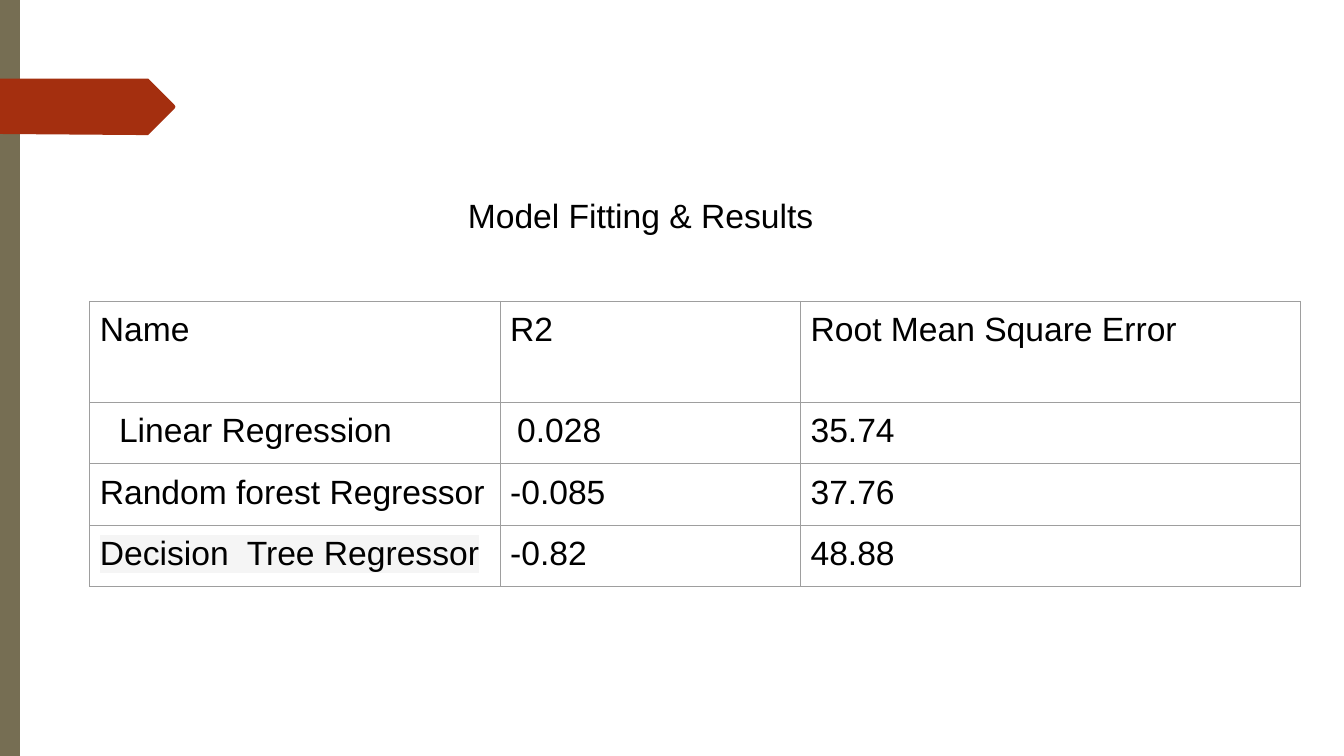
from lxml import etree
from pptx import Presentation
from pptx import util as u
from pptx.dml.color import RGBColor
from pptx.enum import text
from pptx.oxml import ns

OLIVE = RGBColor(0x76, 0x6E, 0x53)
RUST = RGBColor(0xA4, 0x2F, 0x0F)
BLACK = RGBColor(0, 0, 0)
GREY = RGBColor(0x9E, 0x9E, 0x9E)
PALE = RGBColor(0xF5, 0xF5, 0xF5)

BAR = [(0, 0), (0.2, 0), (0.2, 7.5), (0, 7.5)]
ARROW = [(0, 0.78), (1.47, 0.78), (1.48, 0.79), (1.73, 1.04), (1.74, 1.06),
         (1.73, 1.08), (1.48, 1.33), (1.47, 1.34), (1.36, 1.34), (0, 1.33)]

COLS = [4.07, 2.98, 4.96]
ROWS = [1, 0.61, 0.61, 0.61]
CELLS = [
    ["Name", "R2", "Root Mean Square Error"],
    ["Linear Regression", "0.028", "35.74"],
    ["Random forest Regressor", "-0.085", "37.76"],
    ["Decision  Tree Regressor", "-0.82", "48.88"],
]
INDENTS = {(1, 0): 0.19, (1, 1): 0.07}
MARKED = (3, 0)


def add_outline(slide, points, color):
    spots = [(u.Inches(x), u.Inches(y)) for x, y in points]
    pen = slide.shapes.build_freeform(*spots[0])
    pen.add_line_segments(spots[1:], close=True)
    shape = pen.convert_to_shape()
    shape.shadow.inherit = False
    shape.fill.solid()
    shape.fill.fore_color.rgb = color
    shape.line.fill.background()


def set_text(frame, words, indent=0):
    """Write one line in the slide's text style, with a first-line indent."""
    para = frame.paragraphs[0]
    para.text = words
    font = para.runs[0].font
    font.size = u.Pt(24)
    font.name = "Arial"
    font.color.rgb = BLACK
    if indent:
        para._p.get_or_add_pPr().set("indent", str(u.Inches(indent)))
    return para


def add_color(parent, tag, color):
    node = etree.SubElement(parent, ns.qn(tag))
    etree.SubElement(node, ns.qn("a:srgbClr"), val=str(color))
    return node


def mark(run, color):
    """Put a highlight behind the run."""
    props = run._r.get_or_add_rPr()
    node = add_color(props, "a:highlight", color)
    props.find(ns.qn("a:latin")).addprevious(node)


def set_border(cell):
    props = cell._tc.get_or_add_tcPr()
    for side in ("L", "R", "T", "B"):
        line = etree.SubElement(props, ns.qn("a:ln" + side), w=str(u.Pt(0.75)))
        add_color(line, "a:solidFill", GREY)


def add_title(slide):
    box = slide.shapes.add_textbox(
        u.Inches(0.79), u.Inches(1.93), u.Inches(12.4), u.Inches(5.39))
    frame = box.text_frame
    frame.word_wrap = True
    frame.margin_left = frame.margin_right = 0
    frame.margin_top = frame.margin_bottom = 0
    para = set_text(frame, "Model Fitting & Results", 3.85)
    para.alignment = text.PP_ALIGN.JUSTIFY


def add_scores(slide):
    table = slide.shapes.add_table(
        len(ROWS), len(COLS), u.Inches(0.89), u.Inches(2.99),
        u.Inches(sum(COLS)), u.Inches(sum(ROWS))).table
    table.first_row = table.horz_banding = False
    for col, width in zip(table.columns, COLS):
        col.width = u.Inches(width)
    for r, height in enumerate(ROWS):
        table.rows[r].height = u.Inches(height)
        for c, words in enumerate(CELLS[r]):
            cell = table.cell(r, c)
            cell.margin_left = cell.margin_right = u.Inches(0.1)
            cell.margin_top = cell.margin_bottom = u.Inches(0.1)
            para = set_text(cell.text_frame, words, INDENTS.get((r, c), 0))
            if (r, c) == MARKED:
                mark(para.runs[0], PALE)
            set_border(cell)
            cell.fill.background()


def main():
    deck = Presentation()
    deck.slide_width = u.Inches(13.33)
    deck.slide_height = u.Inches(7.5)
    slide = deck.slides.add_slide(deck.slide_layouts[6])
    add_outline(slide, BAR, OLIVE)
    add_outline(slide, ARROW, RUST)
    add_title(slide)
    add_scores(slide)
    deck.save("out.pptx")


if __name__ == "__main__":
    main()
